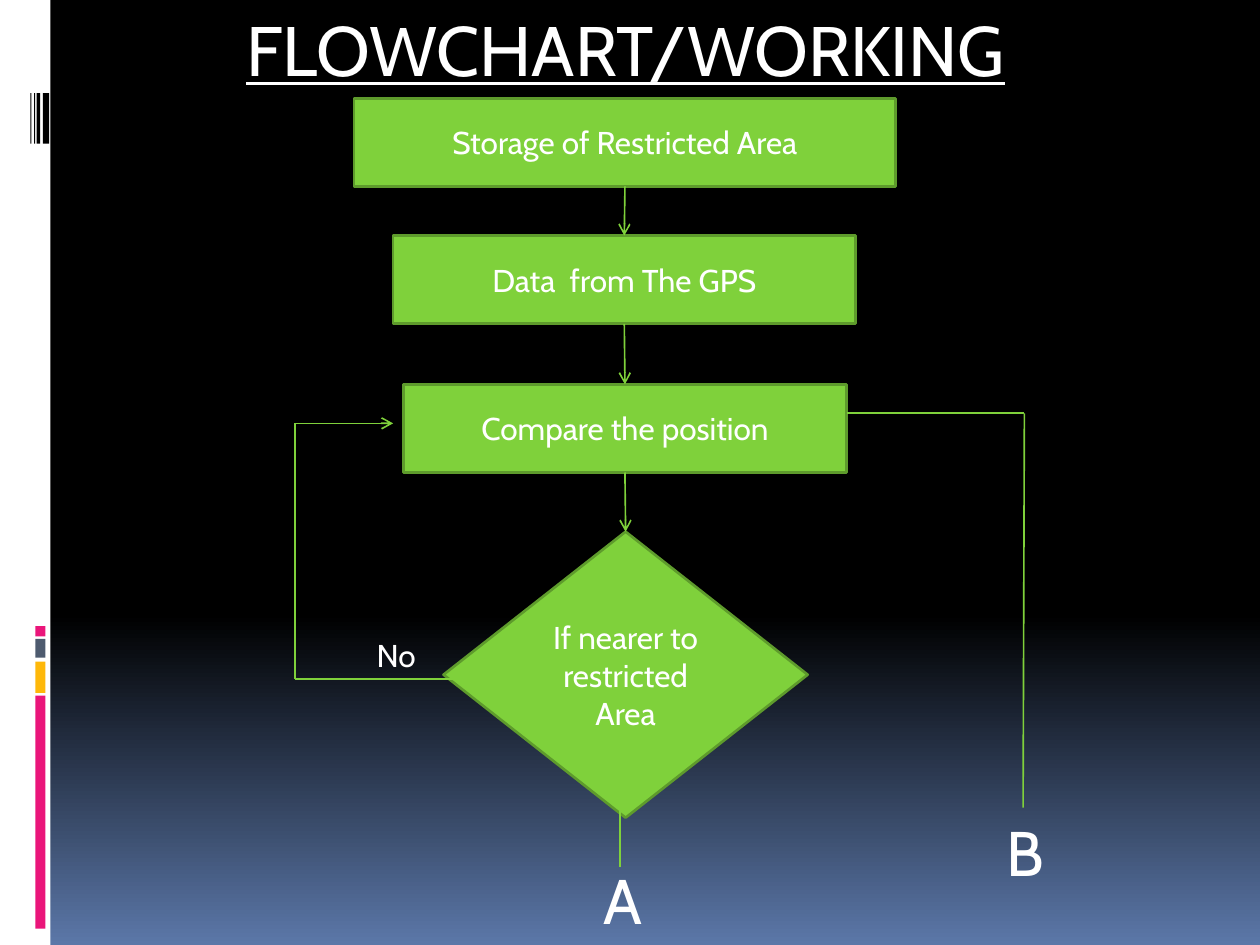
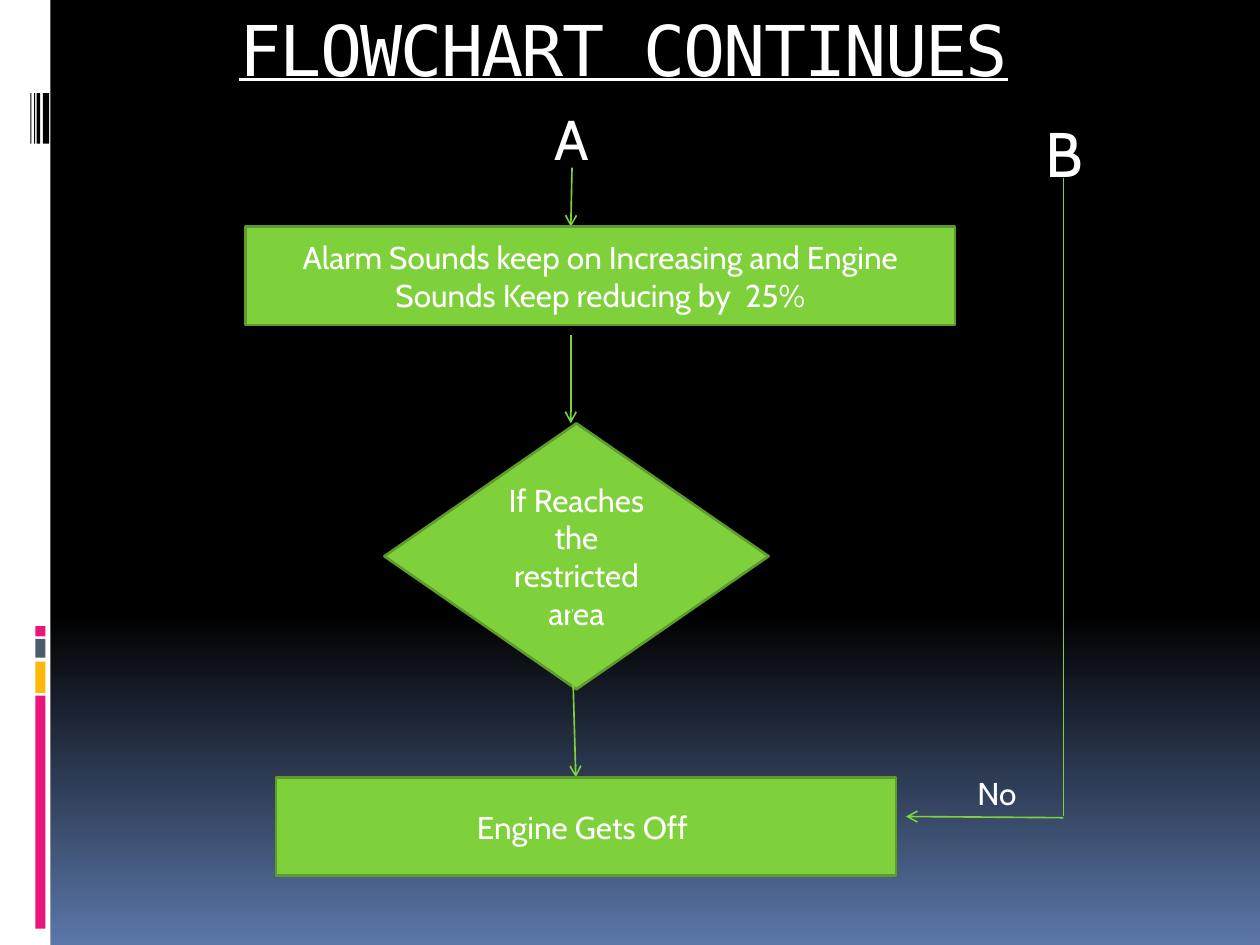
from lxml import etree
from pptx import Presentation
from pptx.dml.color import RGBColor
from pptx.enum import shapes, text
from pptx.oxml.ns import qn
from pptx.util import Inches, Pt

BLACK = RGBColor(0x00, 0x00, 0x00)
WHITE = RGBColor(0xFF, 0xFF, 0xFF)
SKY = RGBColor(0x5B, 0x77, 0xA8)
GREEN = RGBColor(0x7F, 0xD1, 0x3B)
DARK_GREEN = RGBColor(0x5E, 0x9B, 0x2C)
PINK = RGBColor(0xEA, 0x15, 0x7A)
AMBER = RGBColor(0xFE, 0xB8, 0x0A)
SLATE = RGBColor(0x4E, 0x5B, 0x6F)

RECT = shapes.MSO_SHAPE.RECTANGLE
DIAMOND = shapes.MSO_SHAPE.DIAMOND
DECISION = shapes.MSO_SHAPE.FLOWCHART_DECISION
TOP, BOTTOM = 0, 2

# Left margin: left, top, width, height, colour
MARGIN_BANDS = [
    (0, 0, 0.4, 7.5, WHITE),
    (0.28, 5.52, 0.08, 1.85, PINK),
    (0.28, 5.25, 0.08, 0.25, AMBER),
    (0.28, 5.07, 0.08, 0.15, SLATE),
    (0.28, 4.97, 0.08, 0.08, PINK),
] + [(left, 0.74, width, 0.4, BLACK)
     for left, width in [(0.34, 0.05), (0.29, 0.03), (0.27, 0.01), (0.24, 0.01)]]


class FlowDeck:
    """Holds the shared style and the slide being drawn."""

    def __init__(self):
        self.prs = Presentation()
        self.prs.slide_width, self.prs.slide_height = Inches(10), Inches(7.5)
        self.slide = None
        backdrop = self.prs.slide_master.background.fill
        backdrop.gradient()
        backdrop.gradient_angle = 270
        for stop, position, colour in zip(
                backdrop.gradient_stops, (0.65, 1), (BLACK, SKY)):
            stop.position = position
            stop.color.rgb = colour

    def new_slide(self, heading, left, width, height, font="Cabin", spacing=0):
        self.slide = self.prs.slides.add_slide(self.prs.slide_layouts[5])
        for *box, colour in MARGIN_BANDS:
            self.block(RECT, box, colour)
        title = self.slide.shapes.title
        title.left, title.top = Inches(left), Inches(0)
        title.width, title.height = Inches(width), Inches(height)
        frame = title.text_frame
        frame.auto_size = text.MSO_AUTO_SIZE.NONE
        frame.vertical_anchor = text.MSO_ANCHOR.TOP
        self.set_words(frame, heading, 40, text.PP_ALIGN.CENTER, font)
        run = frame.paragraphs[0].runs[0]
        run.font.underline = True
        if spacing:
            run.font._element.set("spc", str(spacing * 100))

    def set_words(self, frame, words, size, align, font="Cabin"):
        frame.text = words
        paragraph = frame.paragraphs[0]
        paragraph.alignment = align
        for run in paragraph.runs:
            run.font.name = font
            run.font.size = Pt(size)
            run.font.color.rgb = WHITE

    def block(self, kind, box, colour):
        block = self.slide.shapes.add_shape(kind, *map(Inches, box))
        block.shadow.inherit = False
        block.fill.solid()
        block.fill.fore_color.rgb = colour
        block.line.fill.background()
        return block

    def step(self, words, *box, kind=RECT):
        step = self.block(kind, box, GREEN)
        step.line.color.rgb = DARK_GREEN
        step.line.width = Pt(1.5)
        step.text_frame.vertical_anchor = text.MSO_ANCHOR.MIDDLE
        step.text_frame.word_wrap = True
        self.set_words(step.text_frame, words, 18, text.PP_ALIGN.CENTER)
        return step

    def label(self, words, *box, size=18):
        frame = self.slide.shapes.add_textbox(*map(Inches, box)).text_frame
        frame.word_wrap = False
        frame.auto_size = text.MSO_AUTO_SIZE.SHAPE_TO_FIT_TEXT
        self.set_words(frame, words, size, text.PP_ALIGN.LEFT)

    def line(self, start, end, arrow=False):
        line = self.slide.shapes.add_connector(
            shapes.MSO_CONNECTOR.STRAIGHT, *map(Inches, (*start, *end)))
        line.line.color.rgb = GREEN
        line.line.width = Pt(0.94)
        if arrow:
            outline = line._element.spPr.find(qn("a:ln"))
            etree.SubElement(outline, qn("a:tailEnd"), type="arrow")
        etree.SubElement(line._element.spPr, qn("a:effectLst"))
        return line

    def join(self, upper, lower):
        arrow = self.line((0, 0), (1, 1), arrow=True)
        arrow.begin_connect(upper, BOTTOM)
        arrow.end_connect(lower, TOP)


def build_working(deck):
    deck.new_slide("FLOWCHART/WORKING", 1.8, 6.33, 0.77)

    # Main chain
    storage = deck.step("Storage of Restricted Area", 2.81, 0.78, 4.3, 0.7)
    gps_data = deck.step("Data  from The GPS", 3.12, 1.87, 3.67, 0.7)
    compare = deck.step("Compare the position", 3.2, 3.05, 3.52, 0.7)
    nearer = deck.step("If nearer to restricted Area", 3.52, 4.22, 2.89, 2.27,
                       kind=DIAMOND)
    chain = [storage, gps_data, compare, nearer]
    for upper, lower in zip(chain, chain[1:]):
        deck.join(upper, lower)

    # "No" loop back to the comparison
    deck.line((2.34, 3.36), (2.34, 5.39))
    deck.line((2.34, 3.36), (3.12, 3.36), arrow=True)
    deck.line((2.34, 5.39), (3.75, 5.39))
    deck.label("No", 2.89, 5, 0.51, 0.4)

    # Exits to the next slide
    deck.line((4.92, 6.41), (4.92, 6.88))
    deck.label("A", 4.69, 6.79, 0.52, 0.71, size=36)
    deck.line((6.72, 3.28), (8.13, 3.28))
    deck.line((8.13, 3.28), (8.12, 6.41))
    deck.label("B", 7.89, 6.41, 0.5, 0.71, size=36)


def build_continuation(deck):
    deck.new_slide("FLOWCHART CONTINUES", 0.7, 8.5, 1,
                   font="DejaVu Sans Mono", spacing=-1)

    # Branch A
    deck.label("A", 4.3, 0.78, 0.49, 0.64, size=32)
    deck.line((4.54, 1.33), (4.53, 1.8), arrow=True)
    deck.step("Alarm Sounds keep on Increasing and Engine Sounds Keep "
              "reducing by  25%", 1.95, 1.8, 5.63, 0.78)
    deck.line((4.53, 2.66), (4.53, 3.36), arrow=True)
    deck.step("If Reaches the restricted area", 3.05, 3.36, 3.05, 2.11,
              kind=DECISION)
    deck.line((4.53, 4.77), (4.57, 6.17), arrow=True)
    deck.step("Engine Gets Off ", 2.19, 6.17, 4.92, 0.78)

    # Branch B
    deck.line((8.44, 1.41), (8.44, 6.48))
    deck.line((8.44, 6.49), (7.19, 6.48), arrow=True)
    deck.label("B", 8.2, 0.86, 0.5, 0.71, size=36)
    deck.label("No", 7.66, 6.09, 0.7, 0.4)


def main():
    deck = FlowDeck()
    build_working(deck)
    build_continuation(deck)
    deck.prs.save("out.pptx")


if __name__ == "__main__":
    main()
